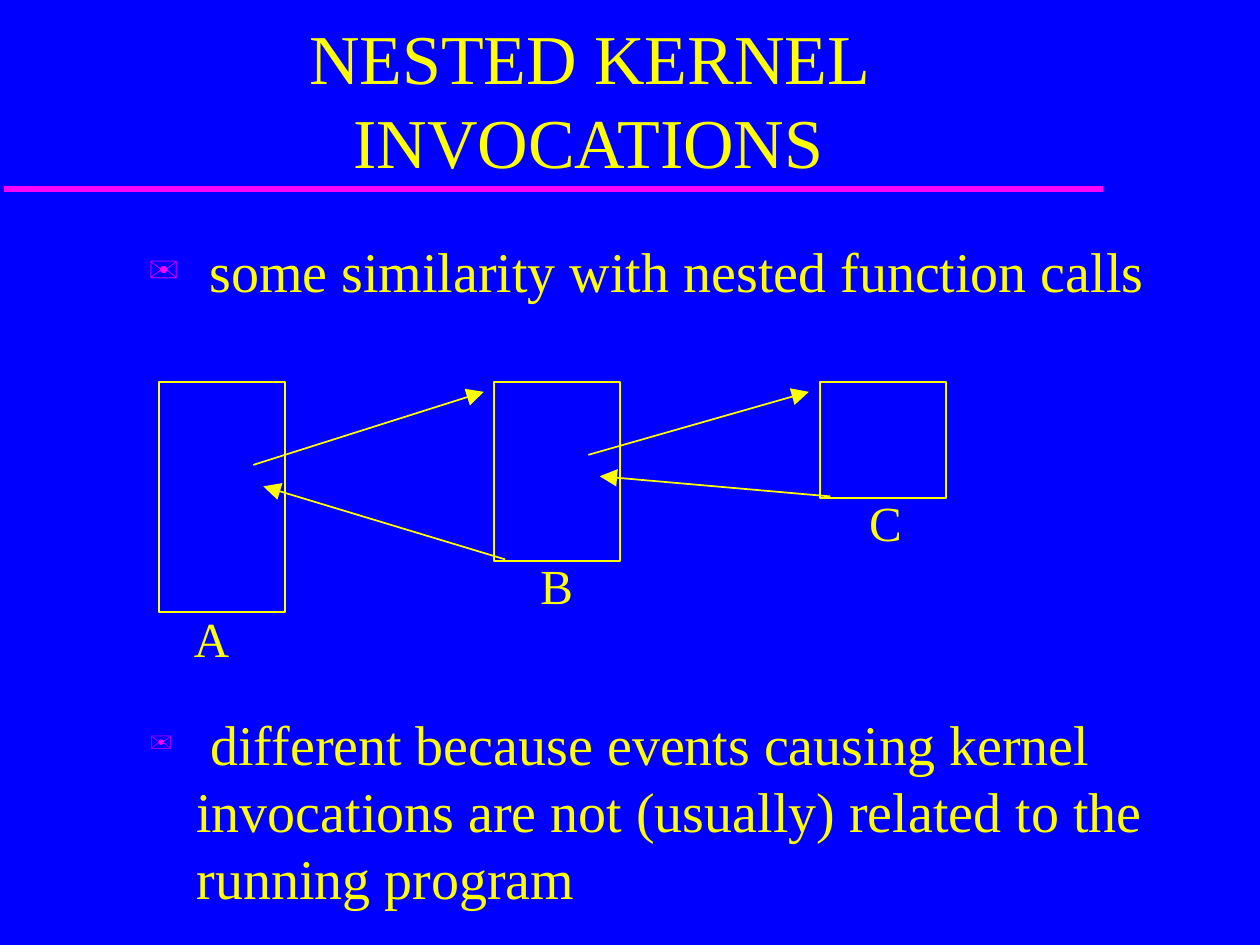
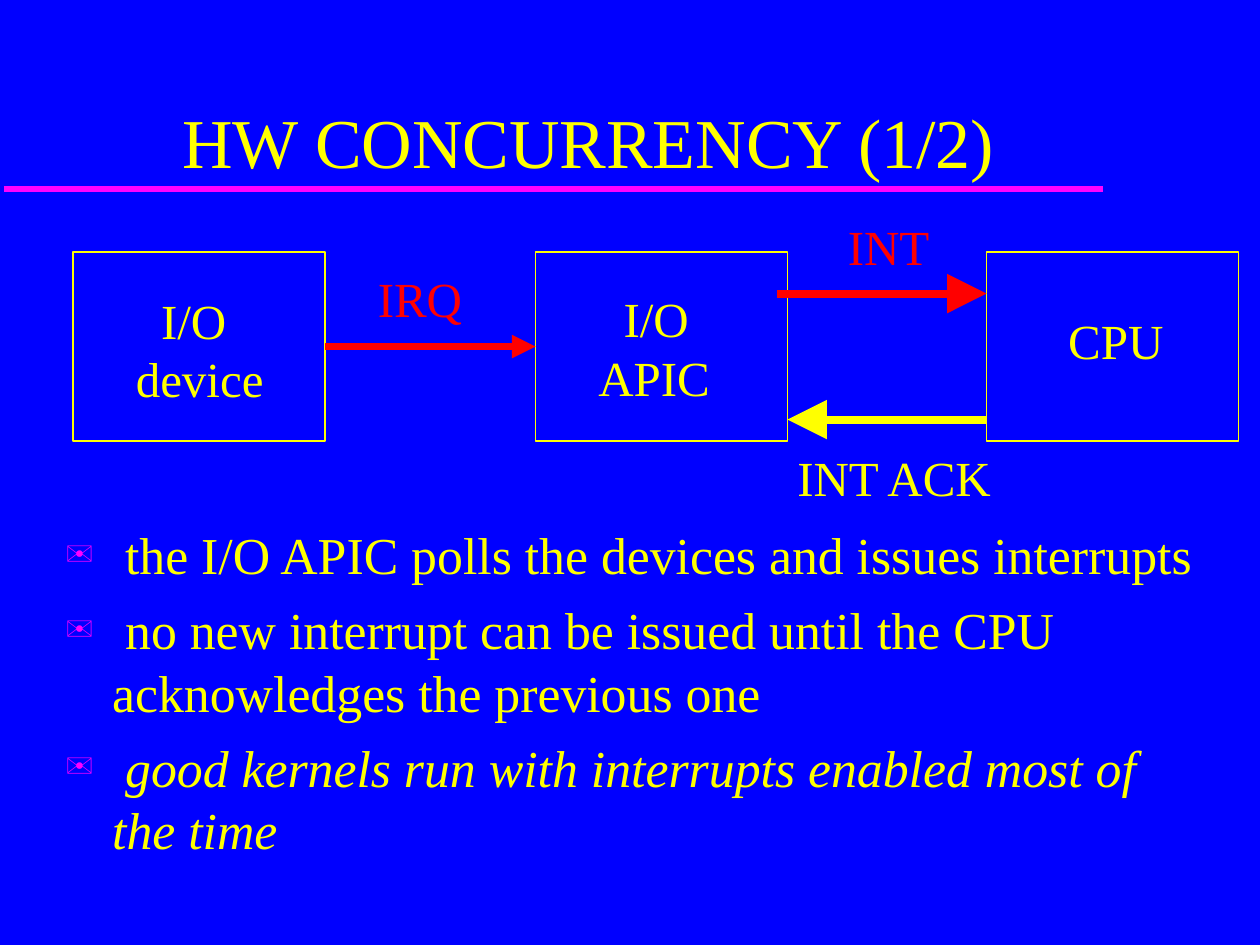
from lxml import etree
from pptx import Presentation
from pptx.dml.color import RGBColor
from pptx.enum.shapes import MSO_CONNECTOR, MSO_SHAPE
from pptx.enum.text import MSO_ANCHOR as ANCHOR, MSO_AUTO_SIZE as AUTO_SIZE, PP_ALIGN
from pptx.oxml.ns import qn
from pptx.util import Inches, Pt

BLUE, YELLOW, MAGENTA, RED = "0000FF", "FFFF00", "FF00FF", "FF0000"
rgb = RGBColor.from_string
FONT = "Times New Roman"


def add_run(p, text, size, color=YELLOW, italic=None):
    r = p.add_run()
    r.text = text
    r.font.name, r.font.size, r.font.italic = FONT, Pt(size), italic
    r.font.color.rgb = rgb(color)


def add_line(s, start, end, color, width, head=None):
    """Draw a straight line; head is the arrowhead size (med or lg) at its end."""
    line = s.shapes.add_connector(MSO_CONNECTOR.STRAIGHT, *map(Inches, start + end))
    line.line.color.rgb = rgb(color)
    line.line.width = Pt(width)
    if head:
        etree.SubElement(line.line._get_or_add_ln(), qn("a:tailEnd"),
                         type="triangle", w=head, len=head)
    etree.SubElement(line._element.spPr, qn("a:effectLst"))
    return line


# Each label: left, top, width, height, lines, colour
# Each arrow: start, end, colour, width, head
# Each list: place, text size, bullet percent, items (text, italic)
SLIDES = [
    dict(
        title="NESTED KERNEL INVOCATIONS",
        title_top=0.15,
        boxes=[(1.26, 3.03, 1, 1.83), (3.92, 3.03, 1, 1.42), (6.51, 3.03, 1, 0.92)],
        labels=[
            (1.44, 4.78, 0.48, 0.57, ["A"], YELLOW),
            (4.19, 4.36, 0.46, 0.57, ["B"], YELLOW),
            (6.8, 3.86, 0.46, 0.57, ["C"], YELLOW),
        ],
        arrows=[
            ((2.01, 3.69), (3.84, 3.11), YELLOW, 1, "lg"),
            ((4.01, 4.44), (2.09, 3.86), YELLOW, 1, "lg"),
            ((4.67, 3.61), (6.42, 3.11), YELLOW, 1, "lg"),
            ((6.59, 3.94), (4.76, 3.78), YELLOW, 1, "lg"),
        ],
        lists=[
            ((1.08, 1.83, 8.58, 0.75), 32, 75,
             [(" some similarity with nested function calls", None)]),
            ((1.09, 5.58, 8.58, 1.7), 32, 56,
             [(" different because events causing kernel invocations are not "
               "(usually) related to the running program", None)]),
        ],
    ),
    dict(
        title="HW CONCURRENCY (1/2)",
        title_top=0.29,
        boxes=[(left, 2, 2, 1.5) for left in (0.58, 4.25, 7.83)],
        labels=[
            (0.98, 2.25, 1.22, 1.04, ["I/O", "device"], YELLOW),
            (4.65, 2.24, 1.09, 1.04, ["I/O", "APIC"], YELLOW),
            (8.38, 2.41, 0.96, 0.57, ["CPU"], YELLOW),
            (2.9, 2.08, 0.87, 0.57, ["IRQ"], RED),
            (6.63, 1.67, 0.85, 0.57, ["INT"], RED),
            (6.23, 3.5, 1.77, 0.57, ["INT ACK"], YELLOW),
        ],
        arrows=[
            ((2.58, 2.75), (4.25, 2.75), RED, 4.5, "med"),
            ((6.17, 2.33), (7.83, 2.33), RED, 4.5, "lg"),
            ((7.83, 3.33), (6.25, 3.33), YELLOW, 4.5, "lg"),
        ],
        lists=[
            ((0.42, 4.1, 9.2, 3.37), 29.6, 75,
             [(" the I/O APIC polls the devices and issues interrupts", None),
              (" no new interrupt can be issued until the CPU acknowledges "
               "the previous one", None),
              (" good kernels run with interrupts enabled most of the time", True)]),
        ],
    ),
]

prs = Presentation()
prs.slide_width, prs.slide_height = Inches(10), Inches(7.5)
master = prs.slide_master
master.background.fill.solid()
master.background.fill.fore_color.rgb = rgb(BLUE)

for number, content in enumerate(SLIDES):
    s = prs.slides.add_slide(prs.slide_layouts[1])
    if number == 0:
        # The rule under the title belongs to the master
        rule = add_line(s, (0.03, 1.5), (8.75, 1.5), MAGENTA, 4)
        master.shapes._spTree.append(rule._element)

    # Title
    title = s.shapes.title
    top = content["title_top"]
    title.left, title.top = Inches(0.42), Inches(top)
    title.width, title.height = Inches(8.5), Inches(1.5 - top)
    tf = title.text_frame
    tf.auto_size, tf.vertical_anchor = AUTO_SIZE.NONE, ANCHOR.BOTTOM
    p = tf.paragraphs[0]
    p.alignment = PP_ALIGN.CENTER
    add_run(p, content["title"], 40)

    # Diagram
    for box in content["boxes"]:
        sp = s.shapes.add_shape(MSO_SHAPE.RECTANGLE, *map(Inches, box))
        sp.shadow.inherit = False
        sp.fill.background()
        sp.line.color.rgb = rgb(YELLOW)
        sp.line.width = Pt(1)
    for arrow in content["arrows"]:
        add_line(s, *arrow)
    for *place, lines, color in content["labels"]:
        tf = s.shapes.add_textbox(*map(Inches, place)).text_frame
        tf.word_wrap, tf.vertical_anchor = False, ANCHOR.MIDDLE
        for i, text in enumerate(lines):
            p = tf.paragraphs[0] if i == 0 else tf.add_paragraph()
            if text == "I/O":
                p._p.get_or_add_pPr().set("marL", str(Inches(0.2)))
            add_run(p, text, 28, color)

    # Bulleted lists: the first one fills the body placeholder
    for n, (place, size, percent, items) in enumerate(content["lists"]):
        if n == 0:
            sp = s.placeholders[1]
            sp.left, sp.top, sp.width, sp.height = map(Inches, place)
        else:
            sp = s.shapes.add_textbox(*map(Inches, place))
        tf = sp.text_frame
        tf.word_wrap, tf.auto_size = True, AUTO_SIZE.NONE
        for i, (text, italic) in enumerate(items):
            p = tf.paragraphs[0] if i == 0 else tf.add_paragraph()
            p.space_before = Pt(7.5 if i else 0)
            pPr = p._p.get_or_add_pPr()
            pPr.set("marL", str(Inches(0.37)))
            pPr.set("indent", str(-Inches(0.37)))
            bullet_color = etree.SubElement(pPr, qn("a:buClr"))
            etree.SubElement(bullet_color, qn("a:srgbClr"), val=MAGENTA)
            etree.SubElement(pPr, qn("a:buSzPct"), val=str(percent * 1000))
            etree.SubElement(pPr, qn("a:buFont"), typeface=FONT)
            etree.SubElement(pPr, qn("a:buChar"), char="✉")
            add_run(p, text, size, italic=italic)

prs.save("out.pptx")
